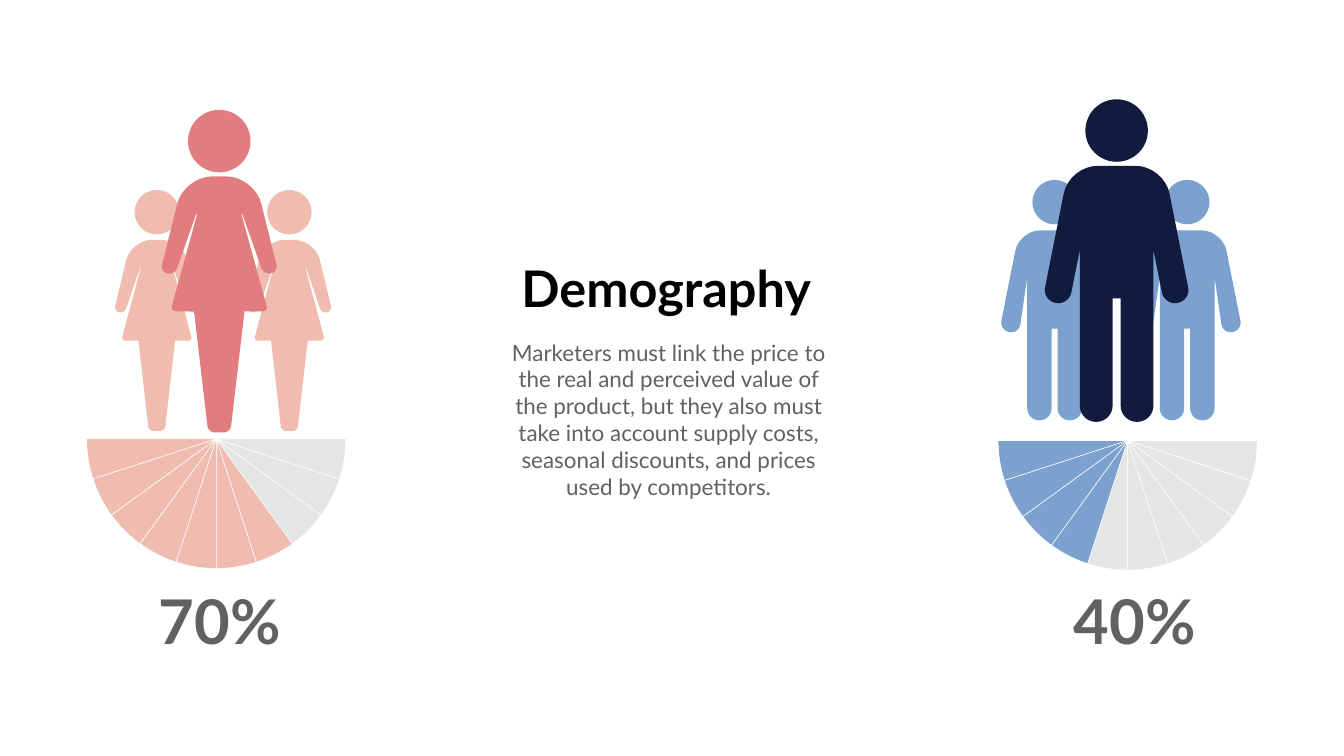
import math
from dataclasses import dataclass

import lxml.etree
import pptx
import pptx.dml.color
import pptx.enum.shapes
import pptx.enum.text
import pptx.oxml.ns
import pptx.util

RGB = pptx.dml.color.RGBColor
ALIGN = pptx.enum.text.PP_ALIGN
Slide = pptx.slide.Slide
Shape = pptx.shapes.autoshape.Shape
Point = tuple[float, float]
Corner = tuple[int, int, int]

PAPER = RGB(0xFE, 0xFF, 0xFF)
BLACK = RGB(0x00, 0x00, 0x00)
TEXT = RGB(0x61, 0x61, 0x61)
GREY = RGB(0x80, 0x80, 0x80)
PEACH = RGB(0xEF, 0xBC, 0xAF)
ROSE = RGB(0xE2, 0x7C, 0x7F)
BLUE = RGB(0x7C, 0xA1, 0xCF)
NAVY = RGB(0x11, 0x1B, 0x3E)

EMU_PER_PX = 9144
WEDGES = 10
STEPS = 8
ROUNDNESS = 0.55


@dataclass(frozen=True)
class Outline:
    width: int
    height: int
    right_half: tuple[Corner, ...]


@dataclass(frozen=True)
class Figure:
    outline: Outline
    color: RGB
    cx: int
    head_top: int
    head_size: int
    body_top: int
    width: int
    height: int


@dataclass(frozen=True)
class HalfPie:
    cx: int
    cy: int
    radius: int
    filled: int
    color: RGB


@dataclass(frozen=True)
class Label:
    text: str
    box: tuple[int, int, int, int]
    size: int
    bold: bool
    color: RGB
    align: ALIGN
    wrap: bool


def man(armpit: int) -> Outline:
    return Outline(285, 508, (
        (94, 0, 56), (147, 267, 26), (95, 277, 26), (73, armpit, 0),
        (73, 508, 32), (8, 508, 32), (8, 263, 0)))


WOMAN = Outline(227, 508, (
    (70, 0, 56), (117, 190, 15), (88, 195, 14), (46, 75, 0), (44, 75, 0),
    (97, 268, 12), (50, 268, 0), (22, 508, 13)))
MAN = man(167)
SMALL_MAN = man(126)

FIGURES = (
    Figure(WOMAN, PEACH, 574, 377, 88, 476, 165, 379),
    Figure(WOMAN, PEACH, 311, 377, 88, 476, 165, 379),
    Figure(WOMAN, ROSE, 435, 218, 124, 350, 227, 508),
    Figure(SMALL_MAN, BLUE, 2355, 357, 88, 457, 212, 377),
    Figure(SMALL_MAN, BLUE, 2092, 357, 88, 457, 212, 377),
    Figure(MAN, NAVY, 2215, 197, 124, 329, 285, 508),
)
PIES = (
    HalfPie(429, 871, 257, 7, PEACH),
    HalfPie(2237, 874, 257, 4, BLUE),
)
LABELS = (
    Label("Demography", (1018, 505, 607, 131), 72, True, BLACK, ALIGN.CENTER, False),
    Label("Marketers must link the price to the real and perceived value of the "
          "product, but they also must take into account supply costs, seasonal "
          "discounts, and prices used by competitors.",
          (993, 667, 667, 333), 32, False, TEXT, ALIGN.CENTER, True),
    Label("70%", (302, 1151, 265, 158), 88, True, TEXT, ALIGN.RIGHT, False),
    Label("40%", (2117, 1151, 265, 158), 88, True, TEXT, ALIGN.RIGHT, False),
)


def px(n: float) -> int:
    return round(n * EMU_PER_PX)


def apply(target: object, values: dict[str, object]) -> None:
    for name, value in values.items():
        setattr(target, name, value)


def paint(sp: Shape, color: RGB) -> None:
    sp.shadow.inherit = False
    sp.fill.solid()
    sp.fill.fore_color.rgb = color
    sp.line.fill.background()


def set_alpha(sp: Shape, percent: int) -> None:
    qn = pptx.oxml.ns.qn
    clr = sp._element.spPr.find(qn("a:solidFill")).find(qn("a:srgbClr"))
    lxml.etree.SubElement(clr, qn("a:alpha")).set("val", str(percent * 1000))


def polygon(s: Slide, points: list[Point], color: RGB) -> Shape:
    first, *rest = [(px(x), px(y)) for x, y in points]
    builder = s.shapes.build_freeform(*first, scale=1.0)
    builder.add_line_segments(rest, close=True)
    sp = builder.convert_to_shape()
    paint(sp, color)
    return sp


def toward(a: Point, b: Point, distance: float) -> Point:
    t = distance / math.dist(a, b)
    return a[0] + (b[0] - a[0]) * t, a[1] + (b[1] - a[1]) * t


def round_corners(corners: list[Corner]) -> list[Point]:
    points = []
    for i, (x, y, r) in enumerate(corners):
        if r == 0:
            points.append((x, y))
            continue
        here = (x, y)
        before, after = corners[i - 1][:2], corners[(i + 1) % len(corners)][:2]
        curve = [toward(here, before, r), toward(here, before, r * (1 - ROUNDNESS)),
                 toward(here, after, r * (1 - ROUNDNESS)), toward(here, after, r)]
        for step in range(STEPS + 1):
            t = step / STEPS
            weights = [math.comb(3, k) * t**k * (1 - t)**(3 - k) for k in range(4)]
            points.append(tuple(sum(w * c[axis] for w, c in zip(weights, curve))
                                for axis in (0, 1)))
    return points


def draw_figure(s: Slide, f: Figure) -> None:
    right = list(f.outline.right_half)
    left = [(-x, y, r) for x, y, r in reversed(right)]
    sx, sy = f.width / f.outline.width, f.height / f.outline.height
    polygon(s, [(f.cx + x * sx, f.body_top + y * sy)
                for x, y in round_corners(right + left)], f.color)
    head = s.shapes.add_shape(
        pptx.enum.shapes.MSO_SHAPE.OVAL, px(f.cx - f.head_size / 2), px(f.head_top),
        px(f.head_size), px(f.head_size))
    paint(head, f.color)


def draw_half_pie(s: Slide, pie: HalfPie) -> None:
    for i in range(WEDGES):
        angles = [math.pi * (1 - (i + k / STEPS) / WEDGES) for k in range(STEPS + 1)]
        arc = [(pie.cx + pie.radius * math.cos(a), pie.cy + pie.radius * math.sin(a))
               for a in angles]
        filled = i < pie.filled
        sp = polygon(s, [(pie.cx, pie.cy), *arc], pie.color if filled else GREY)
        if not filled:
            set_alpha(sp, 20)
        sp.line.color.rgb = PAPER
        sp.line.width = pptx.util.Pt(0.75)


def draw_label(s: Slide, label: Label) -> None:
    tf = s.shapes.add_textbox(*map(px, label.box)).text_frame
    apply(tf, {"word_wrap": label.wrap,
               "auto_size": pptx.enum.text.MSO_AUTO_SIZE.SHAPE_TO_FIT_TEXT})
    p = tf.paragraphs[0]
    p.alignment = label.align
    r = p.add_run()
    r.text = label.text
    apply(r.font, {"name": "Lato", "size": pptx.util.Pt(label.size), "bold": label.bold})
    r.font.color.rgb = label.color


def main() -> None:
    prs = pptx.Presentation()
    apply(prs, {"slide_width": px(2666), "slide_height": px(1500)})
    s = prs.slides.add_slide(prs.slide_layouts[6])
    s.background.fill.solid()
    s.background.fill.fore_color.rgb = PAPER
    for pie in PIES:
        draw_half_pie(s, pie)
    for figure in FIGURES:
        draw_figure(s, figure)
    for label in LABELS:
        draw_label(s, label)
    prs.save("out.pptx")


if __name__ == "__main__":
    main()
